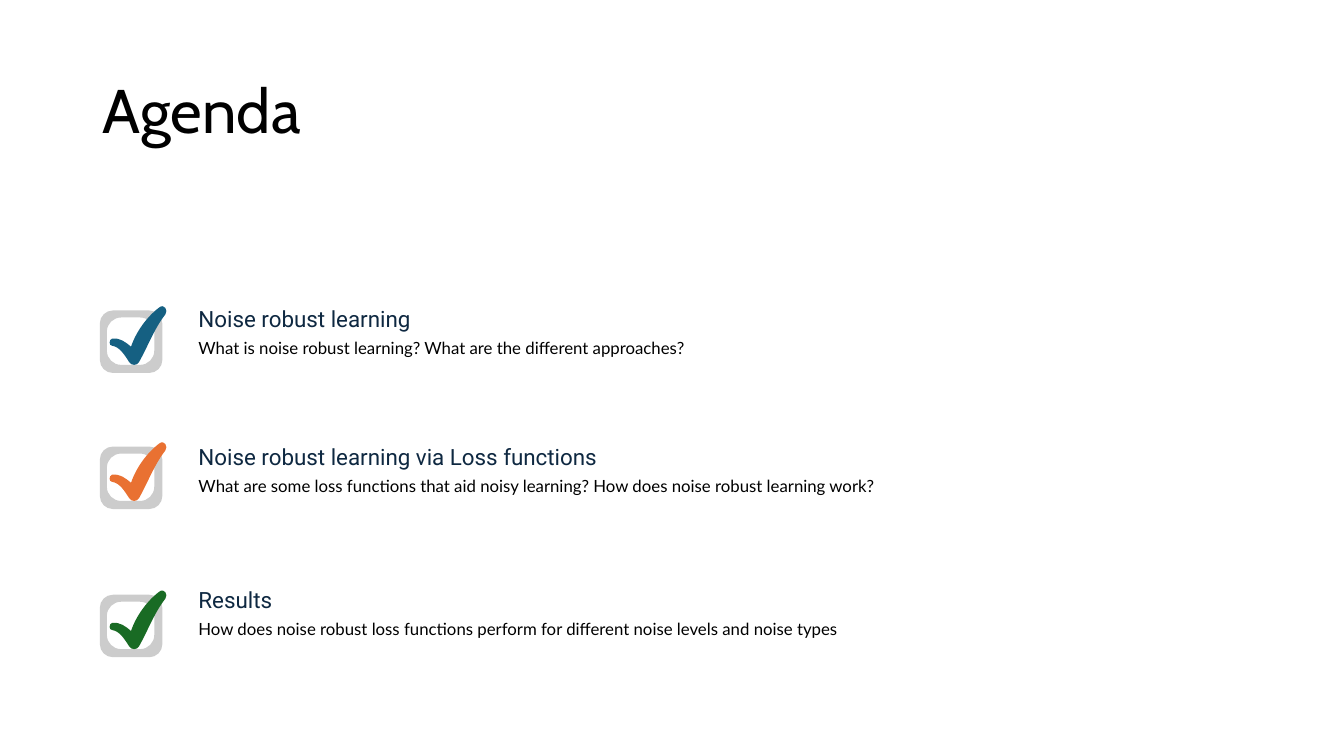
from dataclasses import dataclass

from pptx import Presentation
from pptx.dml.color import RGBColor
from pptx.enum.text import MSO_ANCHOR, MSO_AUTO_SIZE, PP_ALIGN
from pptx.oxml.ns import qn
from pptx.slide import Slide
from pptx.text.text import TextFrame
from pptx.util import Pt

LEFT = PP_ALIGN.LEFT
TOP, MIDDLE = MSO_ANCHOR.TOP, MSO_ANCHOR.MIDDLE
FIXED, GROW = MSO_AUTO_SIZE.NONE, MSO_AUTO_SIZE.SHAPE_TO_FIT_TEXT

PX = 9144
FINE = 10
COLORS = {
    "black": "000000",
    "navy": "0E2841",
    "frame": "CCCCCC",
    "blue": "156082",
    "orange": "E97132",
    "green": "196B24",
}
TITLE_FONT = {"name": "Cabin", "size": Pt(44)}
HEADING_FONT = {"name": "Roboto", "size": Pt(16)}
DETAIL_FONT = {"name": "Lato", "size": Pt(12)}

ICON_LEFT = 99
TEXT_LEFT = 187
DETAIL_OFFSET = 32
DETAIL_HEIGHT = 50

Point = tuple[float, float]


@dataclass(frozen=True)
class Contour:
    start: Point
    segments: list[list[Point]]


@dataclass(frozen=True)
class AgendaItem:
    heading: str
    detail: str
    color: str
    icon_top: int
    text_top: int
    heading_width: int
    heading_height: int
    detail_width: int


ITEMS = [
    AgendaItem("Noise robust learning",
               "What is noise robust learning? What are the different approaches?",
               "blue", 308, 298, 695, 64, 773),
    AgendaItem("Noise robust learning via Loss functions",
               "What are some loss functions that aid noisy learning? "
               "How does noise robust learning work?",
               "orange", 443, 435, 865, 91, 962),
    AgendaItem("Results",
               "How does noise robust loss functions perform for different "
               "noise levels and noise types",
               "green", 590, 577, 695, 37, 773),
]


def rounded_square(offset: int, size: int, radius: int) -> Contour:
    near, far, k = offset, offset + size, radius * 0.45
    corners = [(near, near, 1, 1), (near, far, 1, -1),
               (far, far, -1, -1), (far, near, -1, 1)]
    segments = []
    for i, (x, y, dx, dy) in enumerate(corners):
        along_x = ((x + dx * radius, y), (x + dx * k, y))
        along_y = ((x, y + dy * radius), (x, y + dy * k))
        first, last = (along_x, along_y) if i % 2 == 0 else (along_y, along_x)
        segments += [[first[0]], [first[1], last[1], last[0]]]
    return Contour(segments[0][0], segments[1:])


FRAME = [rounded_square(0, 62, 13), rounded_square(7, 47, 14)]
TICK = [Contour((59, -3), [
    [(47, 6), (36, 21), (31, 36)],
    [(25, 31), (20, 27), (12, 28)],
    [(9, 29), (9, 35), (12, 35)],
    [(20, 36), (25, 45), (29, 51)],
    [(31, 55), (37, 55), (39, 51)],
    [(48, 35), (54, 18), (65, 4)],
    [(68, 0), (64, -7), (59, -3)],
])]


def add_outline(s: Slide, contours: list[Contour], top: int, color: str) -> None:
    def place(point: Point) -> Point:
        return (ICON_LEFT + point[0]) * FINE, (top + point[1]) * FINE

    builder = s.shapes.build_freeform(*place(contours[0].start), scale=PX / FINE)
    for i, contour in enumerate(contours):
        if i:
            builder.move_to(*place(contour.start))
        points = [place(point) for segment in contour.segments for point in segment]
        builder.add_line_segments(points, close=True)
    sp = builder.convert_to_shape()
    bend(sp.element, [segment for contour in contours for segment in contour.segments])
    sp.shadow.inherit = False
    sp.fill.solid()
    sp.fill.fore_color.rgb = RGBColor.from_string(COLORS[color])
    sp.line.fill.background()


def bend(element, segments: list[list[Point]]) -> None:
    steps = iter(list(element.iter(qn("a:lnTo"))))
    for segment in segments:
        first, *others = [next(steps) for _ in segment]
        if others:
            first.tag = qn("a:cubicBezTo")
        for other in others:
            first.append(other[0])
            other.getparent().remove(other)


def write(tf: TextFrame, text: str, font: dict, color: str,
          anchor: MSO_ANCHOR, fit: MSO_AUTO_SIZE) -> None:
    tf.word_wrap = True
    tf.auto_size = fit
    tf.vertical_anchor = anchor
    p = tf.paragraphs[0]
    p.alignment = LEFT
    r = p.add_run()
    r.text = text
    for name, value in font.items():
        setattr(r.font, name, value)
    r.font.color.rgb = RGBColor.from_string(COLORS[color])


def add_text(s: Slide, text: str, top: int, width: int, height: int,
             font: dict, color: str) -> None:
    box = (v * PX for v in (TEXT_LEFT, top, width, height))
    write(s.shapes.add_textbox(*box).text_frame, text, font, color, TOP, GROW)


def add_item(s: Slide, item: AgendaItem) -> None:
    add_outline(s, FRAME, item.icon_top, "frame")
    add_outline(s, TICK, item.icon_top, item.color)
    add_text(s, item.heading, item.text_top, item.heading_width,
             item.heading_height, HEADING_FONT, "navy")
    add_text(s, item.detail, item.text_top + DETAIL_OFFSET, item.detail_width,
             DETAIL_HEIGHT, DETAIL_FONT, "black")


def main() -> None:
    prs = Presentation()
    prs.slide_width, prs.slide_height = 1333 * PX, 750 * PX
    s = prs.slides.add_slide(prs.slide_layouts[5])
    title = s.shapes.title
    place = {"left": 92, "top": 40, "width": 1150, "height": 145}
    for name, value in place.items():
        setattr(title, name, value * PX)
    write(title.text_frame, "Agenda", TITLE_FONT, "black", MIDDLE, FIXED)
    title.text_frame.paragraphs[0].line_spacing = 0.9
    for item in ITEMS:
        add_item(s, item)
    prs.save("out.pptx")


if __name__ == "__main__":
    main()
